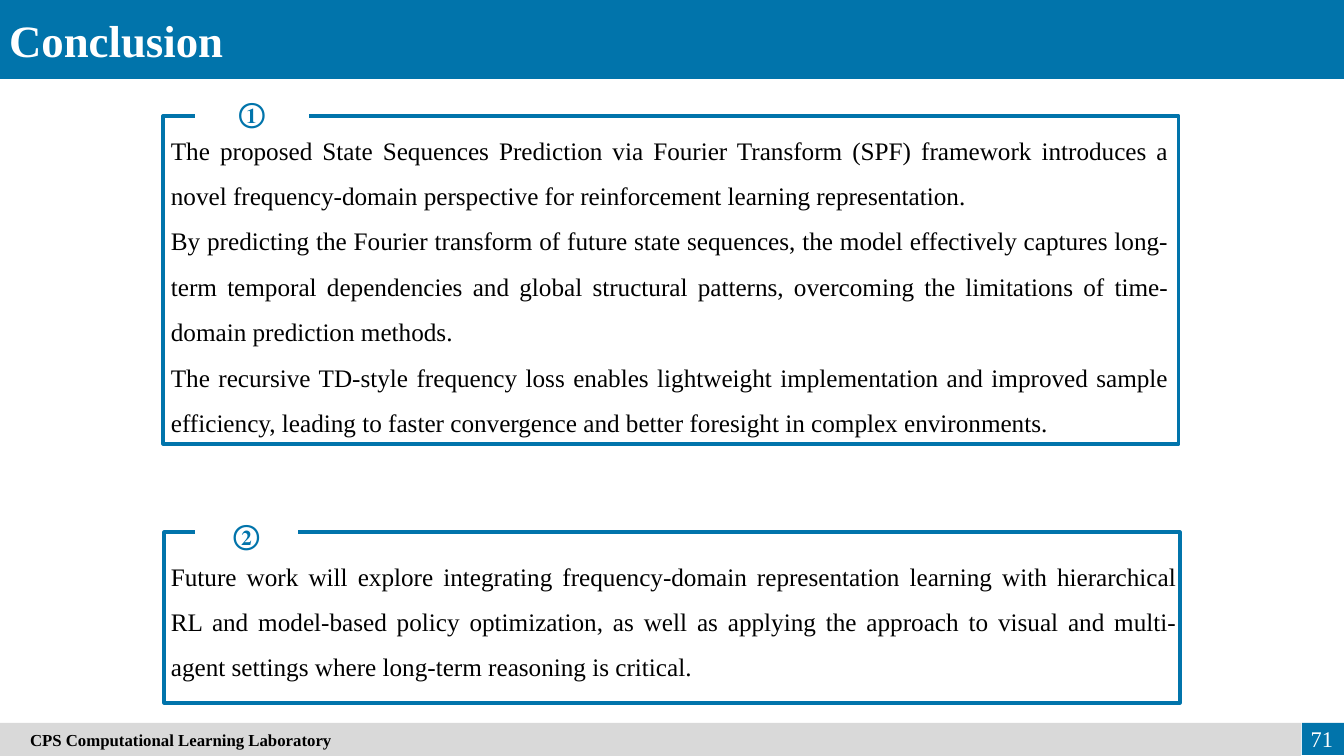
"""Build the conclusion slide with two numbered, framed text blocks."""
import pptx
import pptx.dml.color
import pptx.enum.shapes
import pptx.enum.text
import pptx.util

EMU_PER_PX = 12192000 / 1344
FONT = "Times New Roman"
BLUE, GREY, WHITE, BLACK = "0174AB", "D9D9D9", "FFFFFF", "000000"
ALIGN = pptx.enum.text.PP_ALIGN
ANCHOR = pptx.enum.text.MSO_ANCHOR

FINDINGS = [
    "The proposed State Sequences Prediction via Fourier Transform (SPF) framework "
    "introduces a novel frequency-domain perspective for reinforcement learning "
    "representation.",
    "By predicting the Fourier transform of future state sequences, the model "
    "effectively captures long-term temporal dependencies and global structural "
    "patterns, overcoming the limitations of time-domain prediction methods.",
    "The recursive TD-style frequency loss enables lightweight implementation and "
    "improved sample efficiency, leading to faster convergence and better foresight "
    "in complex environments.",
]
FUTURE_WORK = [
    "Future work will explore integrating frequency-domain representation learning "
    "with hierarchical RL and model-based policy optimization, as well as applying "
    "the approach to visual and multi-agent settings where long-term reasoning is "
    "critical.",
]


def px(n):
    """Turn pixels into EMU."""
    return pptx.util.Emu(round(n * EMU_PER_PX))


def rgb(color):
    """Turn a hex string into a colour."""
    return pptx.dml.color.RGBColor.from_string(color)


def write(sp, paragraphs, size, color, align, bold=False, anchor=ANCHOR.TOP, spacing=None):
    """Fill a shape with formatted paragraphs."""
    tf = sp.text_frame
    tf.word_wrap = True
    tf.auto_size = pptx.enum.text.MSO_AUTO_SIZE.NONE
    tf.vertical_anchor = anchor
    for i, text in enumerate(paragraphs):
        p = tf.add_paragraph() if i else tf.paragraphs[0]
        p.alignment = align
        if spacing:
            p.line_spacing = spacing
        r = p.add_run()
        r.text = text
        r.font.name = FONT
        r.font.size = pptx.util.Pt(size)
        r.font.bold = bold
        r.font.color.rgb = rgb(color)


def rect(s, box, fill=None, line=None):
    """Add a rectangle with an optional fill and outline."""
    kind = pptx.enum.shapes.MSO_SHAPE.RECTANGLE
    sp = s.shapes.add_shape(kind, *map(px, box))
    sp.shadow.inherit = False
    if fill:
        sp.fill.solid()
        sp.fill.fore_color.rgb = rgb(fill)
    else:
        sp.fill.background()
    if line:
        sp.line.color.rgb = rgb(line)
        sp.line.width = pptx.util.Pt(2.25)
    else:
        sp.line.fill.background()
    return sp


def heading(s, text):
    """Place the title on its blue band."""
    band = rect(s, (0, 0, 1344, 79), BLUE)
    title = s.shapes.title
    title.element.addprevious(band.element)
    title.left, title.top, title.width, title.height = map(px, (-1, 8, 541, 64))
    write(title, [text], 32, WHITE, ALIGN.LEFT, True)


def footer(s, text, number):
    """Add the footer bar and the page number."""
    rect(s, (1302, 723, 42, 32), BLUE)
    bar = rect(s, (0, 723, 1301, 33), GREY)
    write(bar, [text], 12, BLACK, ALIGN.LEFT, True, ANCHOR.MIDDLE)
    bar.text_frame.margin_left = px(30)
    sp = s.shapes.add_textbox(*map(px, (1279, 719, 64, 40)))
    write(sp, [number], 16, WHITE, ALIGN.RIGHT, anchor=ANCHOR.MIDDLE)


def numbered_block(s, frame, badge, body, mark, paragraphs):
    """Add a frame with a number set into its top edge and justified text."""
    rect(s, frame, line=BLUE)
    write(rect(s, badge, WHITE), [mark], 20, BLUE, ALIGN.CENTER, True, ANCHOR.MIDDLE)
    sp = s.shapes.add_textbox(*map(px, body))
    write(sp, paragraphs, 18, BLACK, ALIGN.JUSTIFY, spacing=1.5)


def main():
    """Build and save the slide."""
    prs = pptx.Presentation()
    prs.slide_width, prs.slide_height = px(1344), px(756)
    s = prs.slides.add_slide(prs.slide_layouts[5])
    heading(s, "Conclusion")
    footer(s, "CPS Computational Learning Laboratory", "71")
    numbered_block(s, (163, 116, 1016, 328), (195, 85, 114, 55),
                   (161, 115, 1018, 190), "①", FINDINGS)
    numbered_block(s, (164, 532, 1016, 171), (195, 507, 103, 55),
                   (161, 541, 1026, 100), "②", FUTURE_WORK)
    prs.save("out.pptx")


if __name__ == "__main__":
    main()
